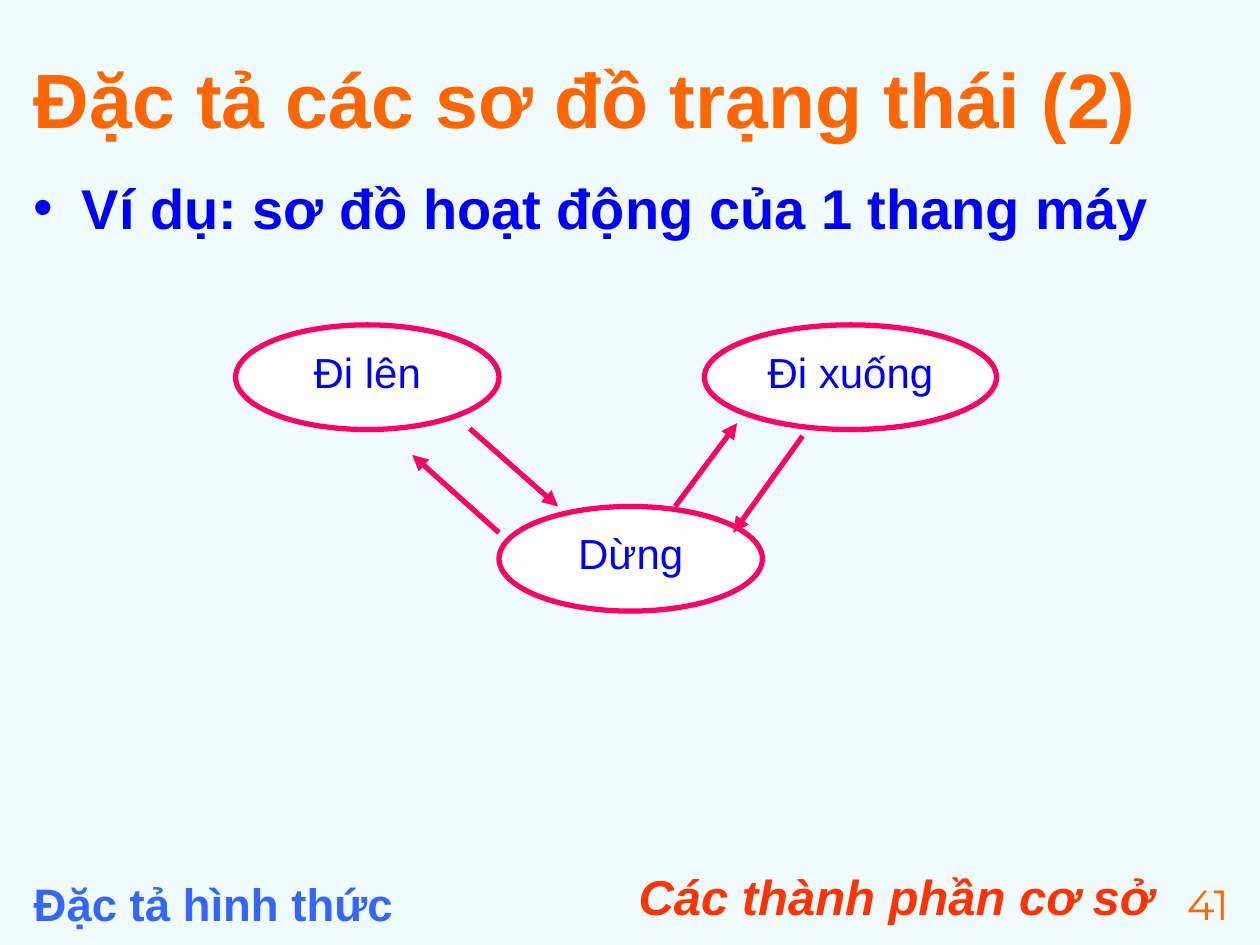
"""Build a slide with the state diagram of a lift."""
from lxml.etree import SubElement
from pptx import Presentation
from pptx.dml.color import RGBColor
from pptx.enum.shapes import MSO_CONNECTOR, MSO_SHAPE
from pptx.enum.text import MSO_ANCHOR, PP_ALIGN
from pptx.oxml.ns import qn
from pptx.util import Cm, Pt

COLORS = {
    "background": "EFFBFF",
    "orange": "FF6600",
    "red": "FF3300",
    "footer": "3366FF",
    "blue": "0000FF",
    "white": "FFFFFF",
    "pink": "FF0066",
}


def color(name):
    return RGBColor.from_string(COLORS[name])


def write(shape, text, size, color_name, align=PP_ALIGN.LEFT, anchor=MSO_ANCHOR.TOP,
          bold=False, italic=False, font_name="Arial"):
    frame = shape.text_frame
    frame.word_wrap = True
    frame.vertical_anchor = anchor
    paragraph = frame.paragraphs[0]
    paragraph.alignment = align
    run = paragraph.add_run()
    run.text = text
    run.font.name = font_name
    run.font.size = Pt(size)
    run.font.bold = bold
    run.font.italic = italic
    run.font.color.rgb = color(color_name)
    return paragraph


presentation = Presentation()
presentation.slide_width = Cm(25.4)
presentation.slide_height = Cm(19.05)
slide = presentation.slides.add_slide(presentation.slide_layouts[6])
slide.background.fill.solid()
slide.background.fill.fore_color.rgb = color("background")

chapter = slide.shapes.add_textbox(Cm(10.36), Cm(17.35), Cm(13.13), Cm(1.32))
write(chapter, "Các thành phần cơ sở", 28, "red", PP_ALIGN.RIGHT, bold=True, italic=True)

course = slide.shapes.add_textbox(Cm(0.43), Cm(17.53), Cm(12.07), Cm(1.12))
write(course, "Đặc tả hình thức", 26, "footer", bold=True)

page_number = slide.shapes.add_textbox(Cm(23.5), Cm(17.58), Cm(1.7), Cm(1.12))
write(page_number, "41", 24, "orange", PP_ALIGN.CENTER, font_name="Montserrat")

title = slide.shapes.add_textbox(Cm(0.43), Cm(0.76), Cm(24.74), Cm(2.41))
write(title, "Đặc tả các sơ đồ trạng thái (2)", 44, "orange", anchor=MSO_ANCHOR.MIDDLE, bold=True)

body = slide.shapes.add_textbox(Cm(0.43), Cm(3.38), Cm(24.66), Cm(13.77))
bullet_paragraph = write(body, "Ví dụ: sơ đồ hoạt động của 1 thang máy", 32, "blue", bold=True)
properties = bullet_paragraph._p.get_or_add_pPr()
properties.set("marL", str(Cm(0.97)))
properties.set("indent", str(-Cm(0.97)))
bullet_color = SubElement(properties, qn("a:buClr"))
SubElement(bullet_color, qn("a:srgbClr"), val=COLORS["blue"])
SubElement(properties, qn("a:buFont"), typeface="Arial")
SubElement(properties, qn("a:buChar"), char="•")

states = [
    ("Đi lên", 4.75, 6.55, 5.31),
    ("Dừng", 10.06, 10.21, 5.31),
    ("Đi xuống", 14.2, 6.55, 5.89),
]
for name, left, top, width in states:
    state = slide.shapes.add_shape(MSO_SHAPE.OVAL, Cm(left), Cm(top), Cm(width), Cm(2.11))
    state.shadow.inherit = False
    state.fill.solid()
    state.fill.fore_color.rgb = color("white")
    state.line.color.rgb = color("pink")
    state.line.width = Pt(3)
    write(state, name, 24, "blue", PP_ALIGN.CENTER)

transitions = [
    (9.47, 8.64, 11.25, 10.21),
    (10.06, 10.74, 8.31, 9.17),
    (13.61, 10.21, 14.86, 8.53),
    (16.18, 8.79, 14.78, 10.74),
]
for points in transitions:
    arrow = slide.shapes.add_connector(MSO_CONNECTOR.STRAIGHT, *[Cm(point) for point in points])
    arrow.line.color.rgb = color("pink")
    arrow.line.width = Pt(3)
    SubElement(arrow.line._get_or_add_ln(), qn("a:tailEnd"), type="triangle")
    SubElement(arrow._element.spPr, qn("a:effectLst"))

presentation.save("out.pptx")
